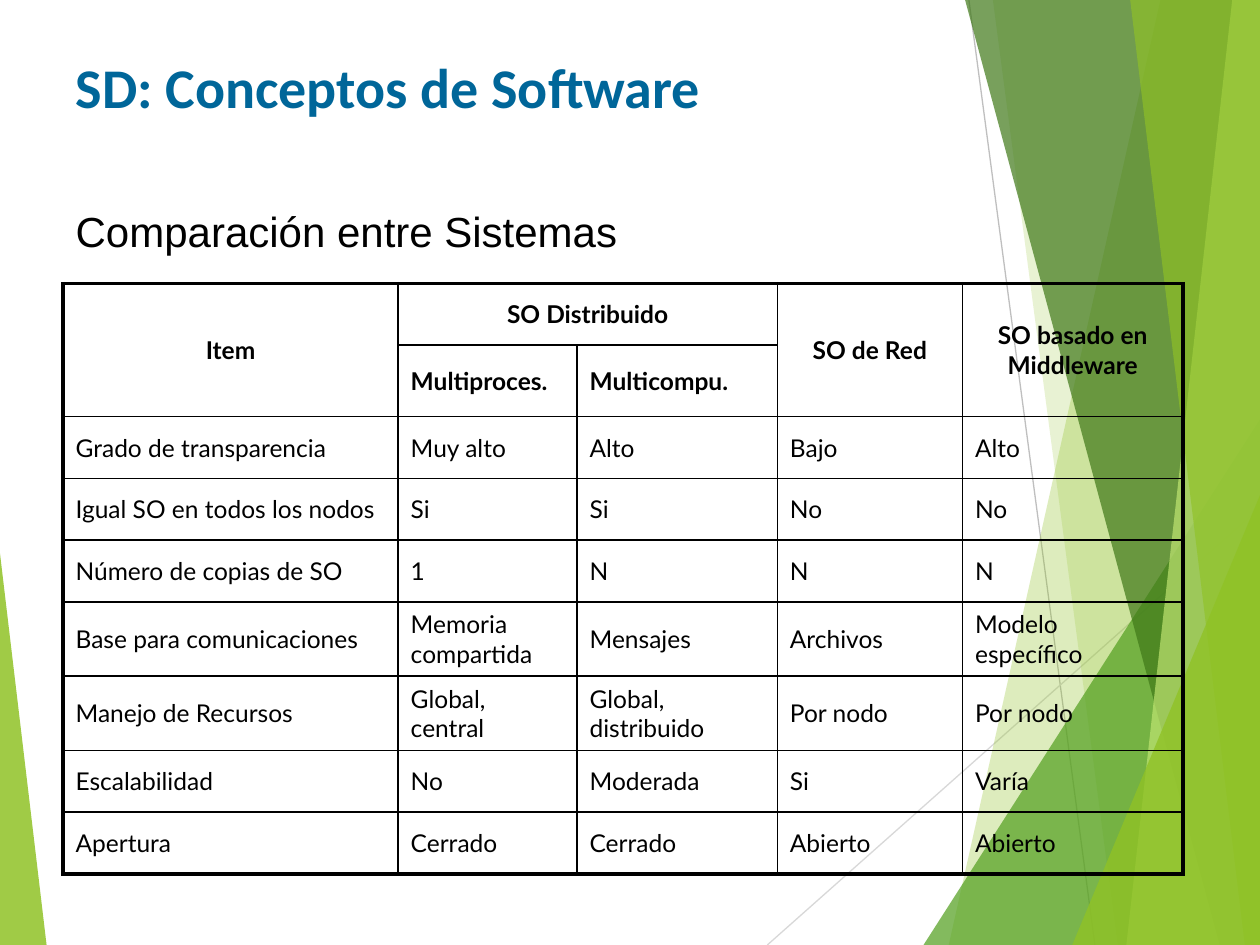
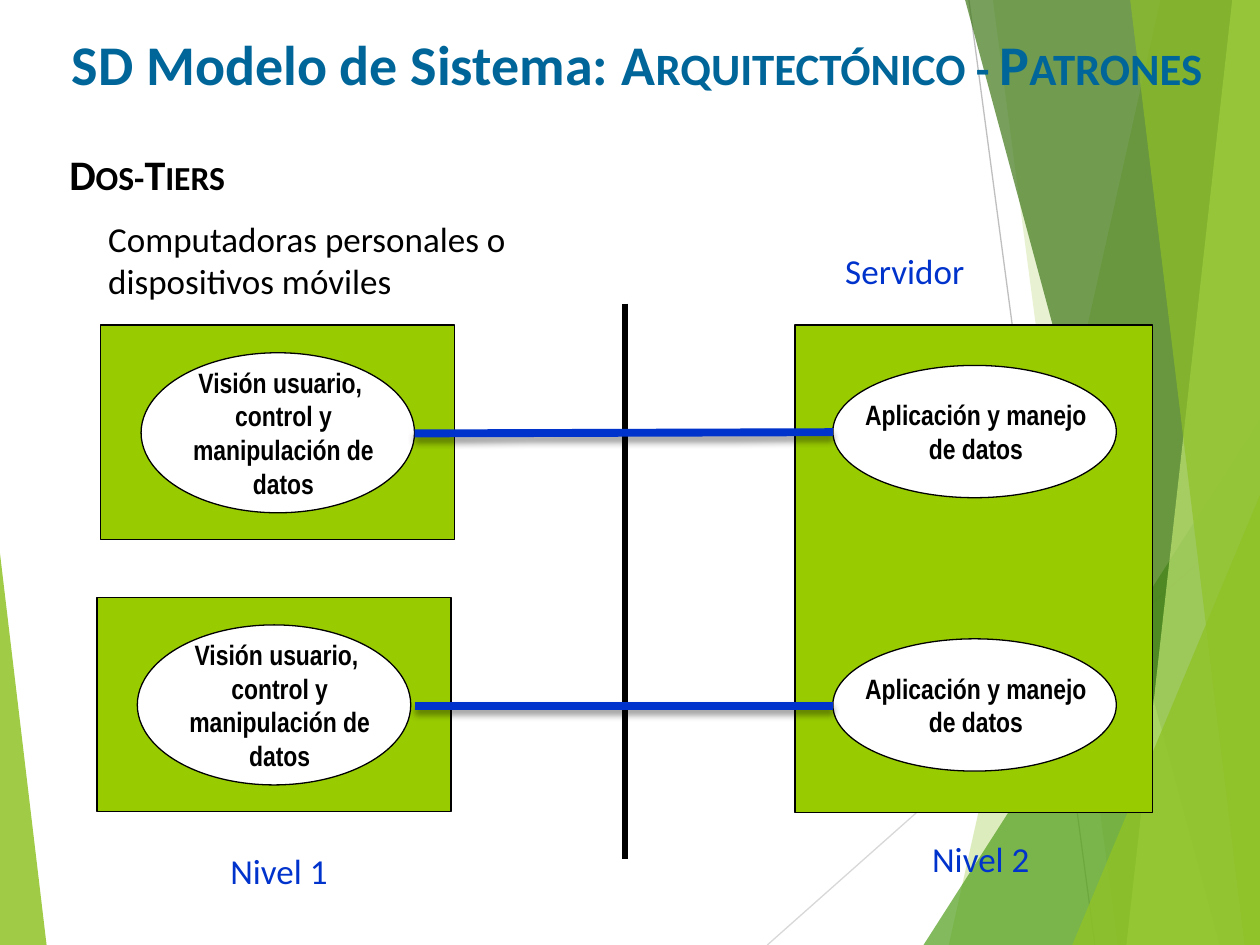
from lxml import etree
from pptx import Presentation
from pptx import util as u
from pptx.dml.color import RGBColor
from pptx.enum import shapes, text
from pptx.oxml import ns

WIDTH, HEIGHT = 10, 7.5
BLACK, WHITE, BLUE, LINK = "000000", "FFFFFF", "006699", "0033CC"
LIME, LEAF, FOREST, PALE, PANEL = "90C226", "54A021", "3F7818", "BFE471", "99CC00"
LEFT, CENTER, JUSTIFY = text.PP_ALIGN.LEFT, text.PP_ALIGN.CENTER, text.PP_ALIGN.JUSTIFY
TOP, MIDDLE, BOTTOM = text.MSO_ANCHOR.TOP, text.MSO_ANCHOR.MIDDLE, text.MSO_ANCHOR.BOTTOM
RECT, OVAL, TRIANGLE = (shapes.MSO_SHAPE.RECTANGLE, shapes.MSO_SHAPE.OVAL,
                        shapes.MSO_SHAPE.ISOSCELES_TRIANGLE)

TITLE_FONT = {"name": "Calibri", "size": 32, "bold": True, "color": BLUE}
HEADING_FONT = {"name": "Calibri", "size": 24, "bold": True, "color": BLACK}
SUBTITLE_FONT = {"name": "Arial", "size": 24, "bold": False, "color": BLACK}
LABEL_FONT = {"name": "Calibri", "size": 20, "bold": False}
NODE_FONT = {"name": "Arial Narrow", "size": 16, "bold": True, "color": BLACK}
CELL_FONT = {"name": "Lato", "size": 14, "color": BLACK}

THIN_RAYS = [((7.69, 0), (8.69, HEIGHT), "BFBFBF"), ((WIDTH, 4.03), (6.09, HEIGHT), "D8D8D8")]
FACETS = [
    ("band", (9.21, 7.53), LIME, 30),
    ("band", (7.88, 8.87), LIME, 20),
    ("right", (2.67, 4.17), LEAF, 72),
    ("band", (7.66, 9.68), FOREST, 70),
    ("band", (9.78, 8.94), PALE, 70),
    ("band", (8.97, 9.88), LIME, 65),
    ("right", (1.49, 3.57), LIME, 80),
    ("left", (0.37, 3.11), LIME, 85),
]

COLUMNS = [2.66, 1.42, 1.59, 1.47, 1.75]
ROW, TALL_ROW = 0.49, 0.59
HEADER_ROWS, TALL_ROWS = 2, (5, 6)
MERGES = [((0, 0), (1, 0)), ((0, 1), (0, 2)), ((0, 3), (1, 3)), ((0, 4), (1, 4))]
COMPARISON = [
    ["Item", "SO Distribuido", "", "SO de Red", "SO basado en Middleware"],
    ["", "Multiproces.", "Multicompu.", "", ""],
    ["Grado de transparencia", "Muy alto", "Alto", "Bajo", "Alto"],
    ["Igual SO en todos los nodos", "Si", "Si", "No", "No"],
    ["Número de copias de SO", "1", "N", "N", "N"],
    ["Base para comunicaciones", "Memoria compartida", "Mensajes", "Archivos", "Modelo específico"],
    ["Manejo de Recursos", "Global, central", "Global, distribuido", "Por nodo", "Por nodo"],
    ["Escalabilidad", "No", "Moderada", "Si", "Varía"],
    ["Apertura", "Cerrado", "Cerrado", "Abierto", "Abierto"],
]

CLIENT_TEXT = ["Visión usuario, ", "control y manipulación de datos"]
SERVER_TEXT = ["Aplicación y manejo de datos"]
CLIENTS = [(0.8, 2.58), (0.77, 4.74)]
SERVERS = [(6.61, 2.9), (6.61, 5.07)]
CLIENT_PARTS = [(RECT, (0, 0, 2.81, 1.7), PANEL), (OVAL, (0.32, 0.22, 2.17, 1.27), WHITE)]
SERVER_PARTS = [(OVAL, (0, 0, 2.25, 1.05), WHITE)]
CLIENT_CAPTION, SERVER_CAPTION = (0.41, 0.27, 2.08, 1.18), (0.11, 0.21, 2.05, 0.64)
LINKS = [((3.29, 3.44), (6.61, 3.43)), ((3.29, 5.6), (6.61, 5.6))]
LABELS = [
    ("Nivel 1", (1.73, 6.69, 1.56, 0.44), LINK),
    ("Nivel 2", (7.3, 6.6, 1.47, 0.44), LINK),
    ("Servidor", (6.61, 1.93, 2.08, 0.44), LINK),
    ("Computadoras personales o dispositivos móviles", (0.76, 1.68, 3.71, 0.77), BLACK),
]


def rgb(value):
    return RGBColor.from_string(value)


def inches(values):
    return [u.Inches(value) for value in values]


def node(parent, tag, **values):
    child = etree.SubElement(parent, ns.qn(tag))
    for name, value in values.items():
        child.set(name, str(value))
    return child


def apply(target, values):
    for name, value in values.items():
        setattr(target, name, value)


def write(frame, paragraphs, font, align=LEFT):
    for index, spans in enumerate(paragraphs):
        para = frame.add_paragraph() if index else frame.paragraphs[0]
        apply(para, {"alignment": align, "space_before": u.Pt(0)})
        for content, small in spans:
            span = para.add_run()
            span.text = content
            apply(span.font, {**{key: value for key, value in font.items() if key != "color"},
                              "size": u.Pt(font["size"])})
            span.font.color.rgb = rgb(font["color"])
            if small:
                span.font.element.set("cap", "small") if hasattr(span.font, "element") else \
                    span._r.get_or_add_rPr().set("cap", "small")


def fit(box, at, anchor):
    apply(box, dict(zip(("left", "top", "width", "height"), inches(at))))
    apply(box.text_frame, {"word_wrap": True, "auto_size": text.MSO_AUTO_SIZE.NONE,
                           "vertical_anchor": anchor})
    return box.text_frame


def add_text(group, at, lines, font, align=LEFT):
    frame = fit(group.add_textbox(*inches(at)), at, TOP)
    write(frame, [[(line, False)] for line in lines], font, align)


def paint(shape, fill, alpha=100, outline=None):
    shape.shadow.inherit = False
    shape.fill.solid()
    shape.fill.fore_color.rgb = rgb(fill)
    if alpha < 100:
        node(shape.element.find(".//" + ns.qn("a:srgbClr")), "a:alpha", val=alpha * 1000)
    if outline:
        shape.line.color.rgb = rgb(outline)
        shape.line.width = u.Pt(0.75)
    else:
        shape.line.fill.background()


def add_line(group, start, end, color, width, shadow=False):
    line = group.add_connector(shapes.MSO_CONNECTOR.STRAIGHT, *inches(start + end))
    line.line.color.rgb = rgb(color)
    line.line.width = u.Pt(width)
    effects = node(line.element.spPr, "a:effectLst")
    if shadow:
        outer = node(effects, "a:outerShdw", blurRad=u.Pt(4), dist=u.Pt(3), dir=5400000,
                     algn="ctr", rotWithShape=0)
        node(node(outer, "a:srgbClr", val=BLACK), "a:alpha", val=40000)
    return line


def add_facet(group, kind, size, fill, alpha):
    if kind == "band":
        top, bottom = size
        corners = [(top, 0), (WIDTH, 0), (WIDTH, HEIGHT), (bottom, HEIGHT)]
        outline = group.build_freeform(*inches(corners[0]))
        outline.add_line_segments([inches(corner) for corner in corners[1:]], close=True)
        facet = outline.convert_to_shape()
    else:
        width, height = size
        left = WIDTH - width if kind == "right" else 0
        facet = group.add_shape(TRIANGLE, *inches((left, HEIGHT - height, width, height)))
        facet.adjustments[0] = 1 if kind == "right" else 0
    paint(facet, fill, alpha)
    return facet


def decorate(layout, page):
    parts = [add_line(page.shapes, *ray, 0.75) for ray in THIN_RAYS]
    parts += [add_facet(page.shapes, *facet) for facet in FACETS]
    for number, part in enumerate(parts, 101):
        part.element.xpath("./*/p:cNvPr")[0].set("id", str(number))
        layout.shapes.element.append(part.element)


def head(page, title, title_at, heading, heading_at, font, align=LEFT):
    write(fit(page.shapes.title, title_at, BOTTOM), [title], TITLE_FONT)
    frame = fit(page.placeholders[1], heading_at, TOP)
    write(frame, [heading], font, align)
    for para in frame.paragraphs:
        settings = para._p.get_or_add_pPr()
        apply_indent = {"marL": "0", "indent": "0"}
        for name, value in apply_indent.items():
            settings.set(name, value)
        node(settings, "a:buNone")


def add_borders(cell, edges):
    settings = cell._tc.get_or_add_tcPr()
    for side, outer in edges.items():
        border = node(settings, f"a:ln{side}", w=u.Pt(2.25 if outer else 1))
        node(node(border, "a:solidFill"), "a:srgbClr", val=BLACK)


def add_comparison(page):
    heights = [TALL_ROW if row in TALL_ROWS else ROW for row in range(len(COMPARISON))]
    table = page.shapes.add_table(len(heights), len(COLUMNS),
                                  *inches((0.5, 2.25, sum(COLUMNS), sum(heights)))).table
    apply(table, {"first_row": False, "horz_banding": False})
    for column, width in zip(table.columns, COLUMNS):
        column.width = u.Inches(width)
    for row, height in zip(table.rows, heights):
        row.height = u.Inches(height)
    for start, end in MERGES:
        table.cell(*start).merge(table.cell(*end))
    for row, values in enumerate(COMPARISON):
        for column, value in enumerate(values):
            cell = table.cell(row, column)
            cell.vertical_anchor = MIDDLE
            add_borders(cell, {"L": column == 0, "R": column == len(COLUMNS) - 1,
                               "T": row == 0, "B": row == len(heights) - 1})
            cell.fill.background()
            if value:
                write(cell.text_frame, [[(value, False)]],
                      {**CELL_FONT, "bold": row < HEADER_ROWS}, LEFT if row else CENTER)


def add_tier_node(page, origin, parts, caption_at, lines):
    def shifted(at):
        return (origin[0] + at[0], origin[1] + at[1], *at[2:])

    group = page.shapes.add_group_shape().shapes
    for kind, at, fill in parts:
        paint(group.add_shape(kind, *inches(shifted(at))), fill, outline=BLACK)
    add_text(group, shifted(caption_at), lines, NODE_FONT, CENTER)


def add_two_tiers(page):
    paint(page.shapes.add_shape(RECT, *inches((6.31, 2.58, 2.84, 3.87))), PANEL, outline=BLACK)
    for origin in CLIENTS:
        add_tier_node(page, origin, CLIENT_PARTS, CLIENT_CAPTION, CLIENT_TEXT)
    for origin in SERVERS:
        add_tier_node(page, origin, SERVER_PARTS, SERVER_CAPTION, SERVER_TEXT)
    add_line(page.shapes, (4.96, 2.41), (4.96, 6.82), BLACK, 3)
    for start, end in LINKS:
        add_line(page.shapes, start, end, LINK, 4.5, shadow=True)
    for label, at, color in LABELS:
        add_text(page.shapes, at, [label], {**LABEL_FONT, "color": color})


def main():
    deck = Presentation()
    apply(deck, {"slide_width": u.Inches(WIDTH), "slide_height": u.Inches(HEIGHT)})
    layout = deck.slide_layouts[1]

    page = deck.slides.add_slide(layout)
    decorate(layout, page)
    head(page, [("SD: Conceptos de Software", False)], (0.5, 0.37, 9, 0.63),
         [("Comparación entre Sistemas", False)], (0.5, 1.58, 8.67, 0.5), SUBTITLE_FONT, JUSTIFY)
    add_comparison(page)

    page = deck.slides.add_slide(layout)
    head(page, [("SD Modelo de Sistema: ", False), ("Arquitectónico - Patrones", True)],
         (0.47, 0.19, 9.38, 0.63), [("Dos-Tiers", True)], (0.45, 1.13, 9, 0.59), HEADING_FONT)
    add_two_tiers(page)

    deck.save("out.pptx")


if __name__ == "__main__":
    main()
